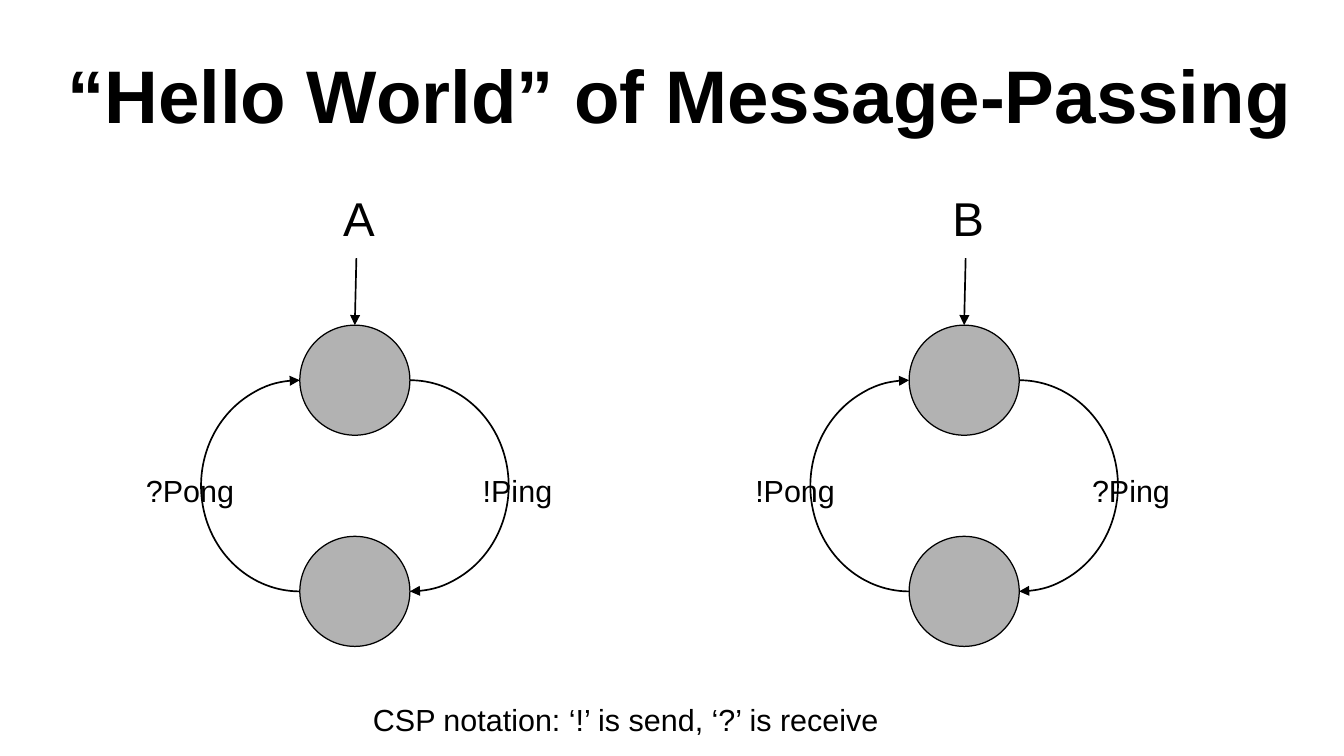
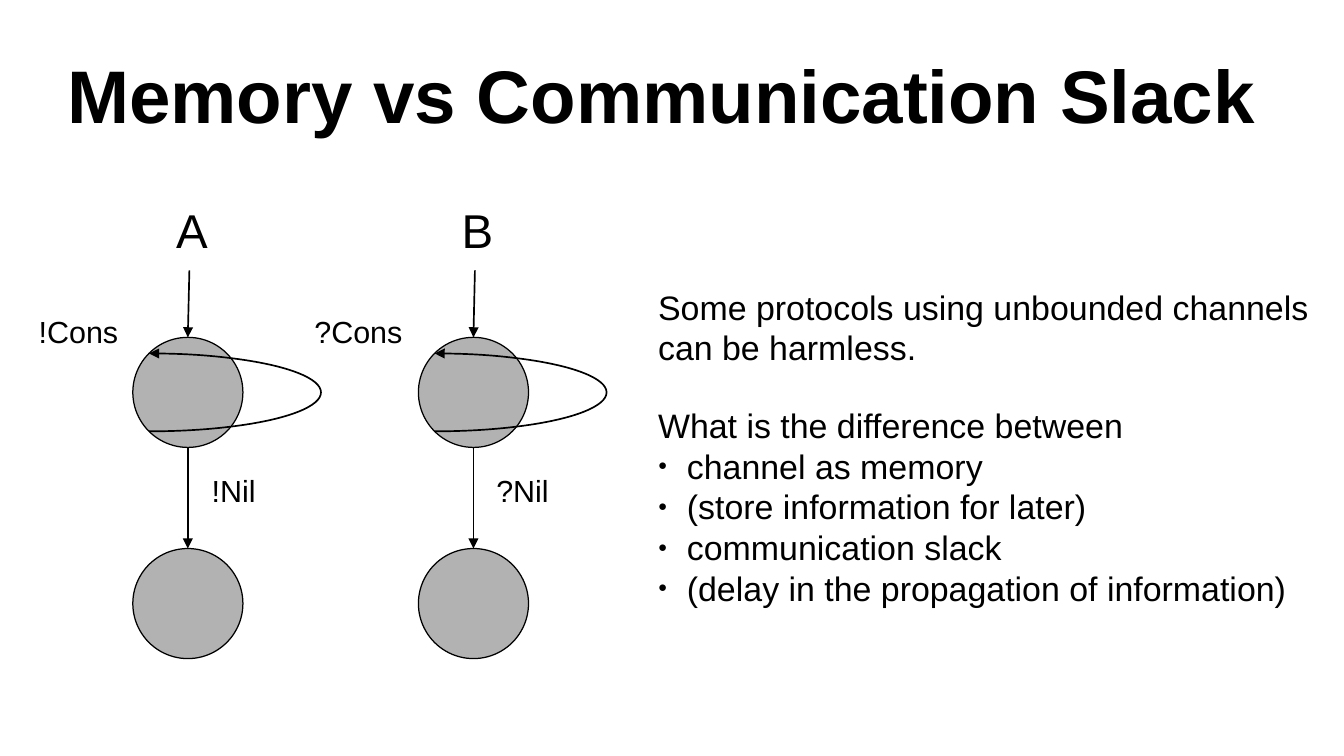
from pptx import Presentation
from pptx.dml.color import RGBColor
from pptx.enum.shapes import MSO_CONNECTOR, MSO_SHAPE
from pptx.enum.text import MSO_ANCHOR, MSO_AUTO_SIZE, PP_ALIGN
from pptx.oxml.ns import qn
from pptx.util import Pt
from lxml.etree import SubElement

BLACK = RGBColor(0x00, 0x00, 0x00)
GRAY = RGBColor(0xB2, 0xB2, 0xB2)
FONT = "Arial"

# Labels: text, left relative to the machine's centre, top on the slide
PING_PONG = [
    ("A", 209.5, [("!Ping", 68.4, 275), ("?Pong", -130.4, 275)]),
    ("B", 569.2, [("?Ping", 68.4, 275), ("!Pong", -130.4, 275)]),
]
CONS_NIL = [
    ("A", 110.9, [("!Nil", 7, 275), ("!Cons", -95.2, 181.4)]),
    ("B", 279.5, [("?Nil", 6.4, 275), ("?Cons", -101, 181.4)]),
]
NOTATION = "CSP notation: ‘!’ is send, ‘?’ is receive"
QUESTION = [
    "Some protocols using unbounded channels can be harmless.",
    "What is the difference between",
]
ANSWERS = [
    "channel as memory",
    "(store information for later)",
    "communication slack",
    "(delay in the propagation of information)",
]

DIAMETER = 65
STATE_PITCH = 124.7
ENTRY_LENGTH = 39.6
LABEL_RISE = 84
LABEL_WIDTH = 76
TOP_ANGLE, BOTTOM_ANGLE = 162, 54  # 270 and 90 degrees, in units of 5/3 degree


def format_paragraph(p, text, size=18, bold=False, space_before=0):
    p.alignment = PP_ALIGN.LEFT
    p.space_before = Pt(space_before)
    r = p.add_run()
    r.text = text
    r.font.name, r.font.size, r.font.bold = FONT, Pt(size), bold
    r.font.color.rgb = BLACK


def add_text(s, text, left, top, width, height=27.4, size=18):
    tf = s.shapes.add_textbox(Pt(left), Pt(top), Pt(width), Pt(height)).text_frame
    tf.word_wrap = True
    tf.auto_size = MSO_AUTO_SIZE.SHAPE_TO_FIT_TEXT
    format_paragraph(tf.paragraphs[0], text, size=size)
    return tf


def add_titled_slide(prs, title):
    s = prs.slides.add_slide(prs.slide_layouts[5])
    sp = s.shapes.title
    sp.left, sp.top, sp.width, sp.height = Pt(39.6), Pt(6), Pt(740), Pt(98.6)
    tf = sp.text_frame
    tf.margin_left = tf.margin_right = tf.margin_top = tf.margin_bottom = 0
    tf.vertical_anchor = MSO_ANCHOR.MIDDLE
    tf.auto_size = MSO_AUTO_SIZE.NONE
    tf.word_wrap = True
    format_paragraph(tf.paragraphs[0], title, size=44, bold=True)
    return s


def style_arrow(line, end="tailEnd"):
    line.color.rgb = BLACK
    line.width = Pt(1)
    SubElement(line._get_or_add_ln(), qn("a:" + end), type="triangle")


def add_state(s, cx, top):
    sp = s.shapes.add_shape(MSO_SHAPE.OVAL, Pt(cx - DIAMETER / 2), Pt(top),
                            Pt(DIAMETER), Pt(DIAMETER))
    sp.shadow.inherit = False
    sp.fill.solid()
    sp.fill.fore_color.rgb = GRAY
    sp.line.color.rgb = BLACK
    sp.line.width = Pt(0)
    return sp


def add_arrow_to_state(s, x, y, state):
    c = s.shapes.add_connector(MSO_CONNECTOR.STRAIGHT, Pt(x), Pt(y), Pt(x), Pt(y))
    c.end_connect(state, 0)
    style_arrow(c.line)
    SubElement(c._element.spPr, qn("a:effectLst"))


def add_half_ellipse(s, cx, cy, rx, ry, start, stop, end="tailEnd"):
    """Clockwise half ellipse with an arrowhead at one end."""
    sp = s.shapes.add_shape(MSO_SHAPE.ARC, Pt(cx - rx), Pt(cy - ry),
                            Pt(2 * rx), Pt(2 * ry))
    sp.adjustments[0], sp.adjustments[1] = start, stop
    sp.shadow.inherit = False
    sp.fill.background()
    style_arrow(sp.line, end)


def add_cycle(s, cx, top, lower):
    """Arrows from the upper state to the lower one and back."""
    cy = top + (DIAMETER + STATE_PITCH) / 2
    for side, start, stop in [(1, TOP_ANGLE, BOTTOM_ANGLE),
                              (-1, BOTTOM_ANGLE, TOP_ANGLE)]:
        add_half_ellipse(s, cx + side * DIAMETER / 2, cy, 58.3,
                         STATE_PITCH / 2, start, stop)


def add_loop_and_exit(s, cx, top, lower):
    """Loop on the upper state and an arrow down to the lower one."""
    add_half_ellipse(s, cx - 22.9, top + DIAMETER / 2, 101.5, 23,
                     TOP_ANGLE, BOTTOM_ANGLE, end="headEnd")
    add_arrow_to_state(s, cx, top + DIAMETER, lower)


def add_machines(s, machines, top, add_transitions):
    for name, cx, labels in machines:
        upper = add_state(s, cx, top)
        lower = add_state(s, cx, top + STATE_PITCH)
        add_arrow_to_state(s, cx + 0.9, top - ENTRY_LENGTH, upper)
        add_transitions(s, cx, top, lower)
        add_text(s, name, cx - 14, top - LABEL_RISE, 40, 38.2, size=28)
        for text, dx, label_top in labels:
            add_text(s, text, cx + dx, label_top, LABEL_WIDTH)


def add_bullet(p):
    pPr = p._p.get_or_add_pPr()
    pPr.set("marL", str(Pt(17)))
    pPr.set("indent", str(-Pt(17)))
    color = SubElement(pPr, qn("a:buClr"))
    SubElement(color, qn("a:srgbClr"), val=str(BLACK))
    SubElement(pPr, qn("a:buSzPct"), val="45000")
    SubElement(pPr, qn("a:buFont"), typeface=FONT)
    SubElement(pPr, qn("a:buChar"), char="●")


def main():
    prs = Presentation()
    prs.slide_width, prs.slide_height = Pt(793.44), Pt(446.4)

    s = add_titled_slide(prs, "“Hello World” of Message-Passing")
    add_machines(s, PING_PONG, 192, add_cycle)
    add_text(s, NOTATION, 213.1, 410.4, 340)

    s = add_titled_slide(prs, "Memory vs Communication Slack")
    add_machines(s, CONS_NIL, 199.2, add_loop_and_exit)
    tf = add_text(s, QUESTION[0], 381.4, 165.4, 400, 183.6, size=20)
    format_paragraph(tf.add_paragraph(), QUESTION[1], size=20, space_before=22)
    for answer in ANSWERS:
        p = tf.add_paragraph()
        format_paragraph(p, answer, size=20)
        add_bullet(p)

    prs.save("out.pptx")


if __name__ == "__main__":
    main()
